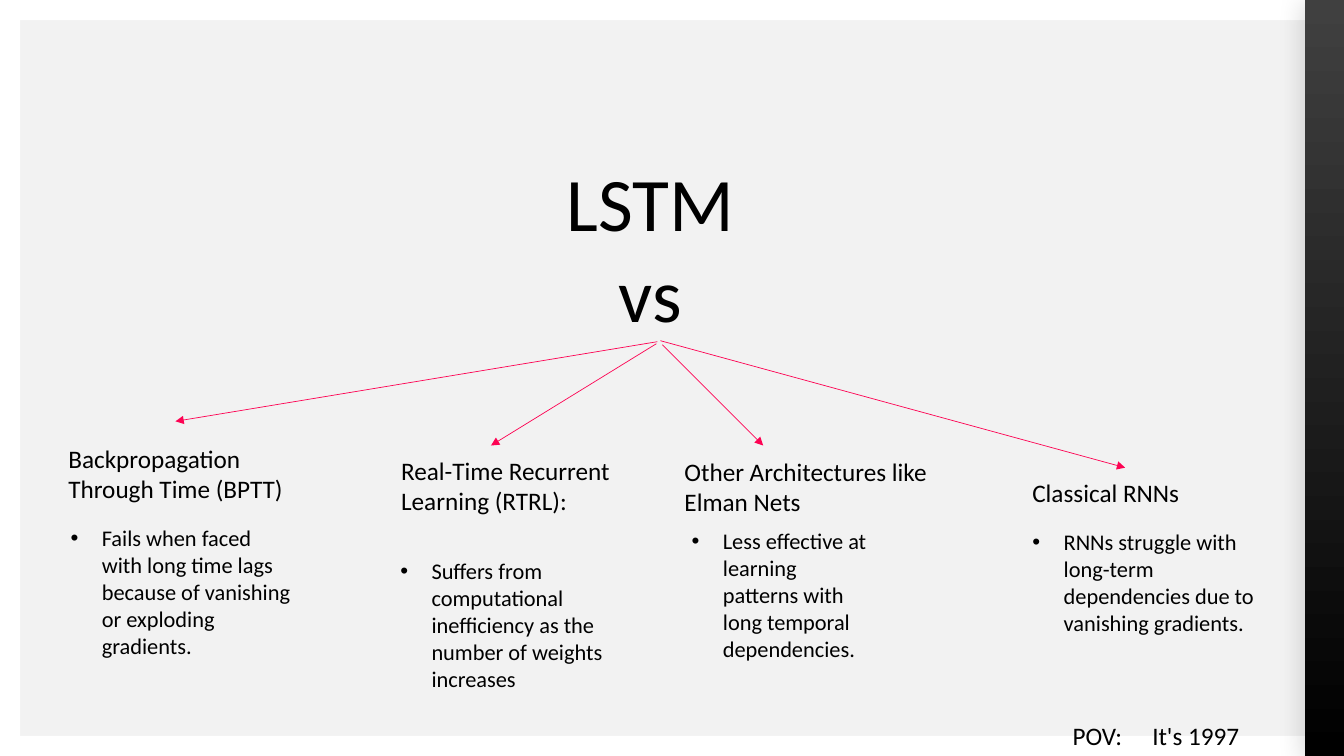
"""Build a slide that sets LSTM against four earlier recurrent approaches."""
from dataclasses import dataclass

import lxml.etree
import pptx
import pptx.dml.color
import pptx.enum.shapes
import pptx.enum.text
import pptx.oxml.ns
import pptx.util

PX = 9144
SLIDE_WIDTH, SLIDE_HEIGHT = 1333, 750
BAR = 20
RAIL_LEFT, RAIL_WIDTH = 1294, 39
INDENT = 31
POV_TAB = 79
FONT = "Calibri"
PAPER = pptx.dml.color.RGBColor(0xF2, 0xF2, 0xF2)
WHITE = pptx.dml.color.RGBColor(0xFF, 0xFF, 0xFF)
BLACK = pptx.dml.color.RGBColor(0x00, 0x00, 0x00)
CHARCOAL = pptx.dml.color.RGBColor(0x40, 0x40, 0x40)
PINK = pptx.dml.color.RGBColor(0xFD, 0x03, 0x53)


@dataclass(frozen=True)
class Area:
    left: int
    top: int
    width: int
    height: int


@dataclass(frozen=True)
class Rival:
    heading: str
    heading_area: Area
    weakness: str
    weakness_area: Area
    arrow_start: tuple[int, int]
    arrow_end: tuple[int, int]


TITLE_AREA = Area(535, 150, 220, 192)
POV_AREA = Area(1054, 710, 240, 40)
WHITE_BARS = (
    Area(0, SLIDE_HEIGHT - BAR, SLIDE_WIDTH, BAR),
    Area(0, 0, SLIDE_WIDTH, BAR),
    Area(0, 0, BAR, SLIDE_HEIGHT),
)
RIVALS = (
    Rival("Backpropagation Through Time (BPTT)", Area(58, 435, 267, 71),
          "Fails when faced with long time lags because of vanishing or exploding gradients.",
          Area(60, 515, 239, 145), (652, 339), (174, 418)),
    Rival("Real-Time Recurrent Learning (RTRL):", Area(388, 447, 232, 101),
          "Suffers from computational inefficiency as the number of weights increases",
          Area(387, 548, 236, 145), (651, 341), (487, 442)),
    Rival("Other Architectures like Elman Nets", Area(669, 448, 268, 72),
          "Less effective at learning patterns with long temporal dependencies.",
          Area(676, 518, 199, 145), (657, 342), (757, 442)),
    Rival("Classical RNNs", Area(1014, 469, 228, 40),
          "RNNs struggle with long-term dependencies due to vanishing gradients.",
          Area(1014, 519, 256, 118), (655, 338), (1116, 464)),
)


def px(length: int) -> pptx.util.Emu:
    return pptx.util.Emu(length * PX)


def bounds(area: Area) -> tuple:
    return px(area.left), px(area.top), px(area.width), px(area.height)


def add_element(parent, tag: str, **attributes: str):
    child = lxml.etree.SubElement(parent, pptx.oxml.ns.qn(tag))
    for name, value in attributes.items():
        child.set(name, value)
    return child


def add_bar(slide, area: Area):
    bar = slide.shapes.add_shape(pptx.enum.shapes.MSO_SHAPE.RECTANGLE, *bounds(area))
    bar.shadow.inherit = False
    bar.fill.solid()
    bar.fill.fore_color.rgb = WHITE
    bar.line.fill.background()
    return bar


def add_rail(slide) -> None:
    rail = add_bar(slide, Area(RAIL_LEFT, 0, RAIL_WIDTH, SLIDE_HEIGHT))
    rail.fill.gradient()
    rail.fill.gradient_angle = 270
    for stop, color, position in zip(rail.fill.gradient_stops, (CHARCOAL, BLACK), (0, 1)):
        stop.color.rgb = color
        stop.position = position
    effects = rail.element.spPr.find(pptx.oxml.ns.qn("a:effectLst"))
    shadow = add_element(effects, "a:outerShdw", blurRad=str(pptx.util.Pt(18)),
                         dist=str(pptx.util.Pt(3)), dir=str(135 * 60000), rotWithShape="0")
    color = add_element(shadow, "a:srgbClr", val=str(BLACK))
    add_element(color, "a:alpha", val="15000")


def prepare(box):
    """Set a text box or placeholder up for plain text and return its paragraph."""
    frame = box.text_frame
    frame.word_wrap = True
    frame.auto_size = pptx.enum.text.MSO_AUTO_SIZE.SHAPE_TO_FIT_TEXT
    frame.vertical_anchor = pptx.enum.text.MSO_ANCHOR.TOP
    para = frame.paragraphs[0]
    para.alignment = pptx.enum.text.PP_ALIGN.LEFT
    para.space_before = pptx.util.Pt(0)
    para.line_spacing = 1.0
    return para


def add_run(para, text: str, size: int) -> None:
    span = para.add_run()
    span.text = text
    span.font.name = FONT
    span.font.size = pptx.util.Pt(size)
    span.font.bold = False
    span.font.color.rgb = BLACK


def place(box, area: Area) -> None:
    box.left, box.top, box.width, box.height = bounds(area)


def add_label(slide, text: str, area: Area):
    para = prepare(slide.shapes.add_textbox(*bounds(area)))
    add_run(para, text, 18)
    return para


def fill_title(box) -> None:
    place(box, TITLE_AREA)
    para = prepare(box)
    para.alignment = pptx.enum.text.PP_ALIGN.CENTER
    add_run(para, "LSTM", 54)
    para.add_line_break()
    add_run(para, "vs", 54)


def fill_weakness(box, rival: Rival) -> None:
    place(box, rival.weakness_area)
    para = prepare(box)
    properties = para._p.get_or_add_pPr()
    properties.set("marL", str(px(INDENT)))
    properties.set("indent", str(-px(INDENT)))
    add_element(properties, "a:buFont", typeface="Arial")
    add_element(properties, "a:buChar", char="•")
    add_run(para, rival.weakness, 16)


def add_arrow(slide, start: tuple[int, int], end: tuple[int, int]) -> None:
    arrow = slide.shapes.add_connector(
        pptx.enum.shapes.MSO_CONNECTOR.STRAIGHT, *map(px, start + end))
    arrow.line.color.rgb = PINK
    arrow.line.width = pptx.util.Pt(0.5)
    add_element(arrow.line._get_or_add_ln(), "a:tailEnd", type="triangle")
    add_element(arrow.element.spPr, "a:effectLst")


def add_point_of_view(slide) -> None:
    para = add_label(slide, "POV:\tIt's 1997", POV_AREA)
    tabs = add_element(para._p.get_or_add_pPr(), "a:tabLst")
    add_element(tabs, "a:tab", pos=str(px(POV_TAB)), algn="l")


def main() -> None:
    deck = pptx.Presentation()
    deck.slide_width, deck.slide_height = px(SLIDE_WIDTH), px(SLIDE_HEIGHT)
    page = deck.slides.add_slide(deck.slide_layouts.get_by_name("Comparison"))
    page.background.fill.solid()
    page.background.fill.fore_color.rgb = PAPER
    for area in WHITE_BARS:
        add_bar(page, area)
    add_rail(page)
    title, *bodies = page.placeholders
    fill_title(title)
    for rival, body in zip(RIVALS, bodies):
        add_arrow(page, rival.arrow_start, rival.arrow_end)
        add_label(page, rival.heading, rival.heading_area)
        fill_weakness(body, rival)
    add_point_of_view(page)
    deck.save("out.pptx")


if __name__ == "__main__":
    main()
